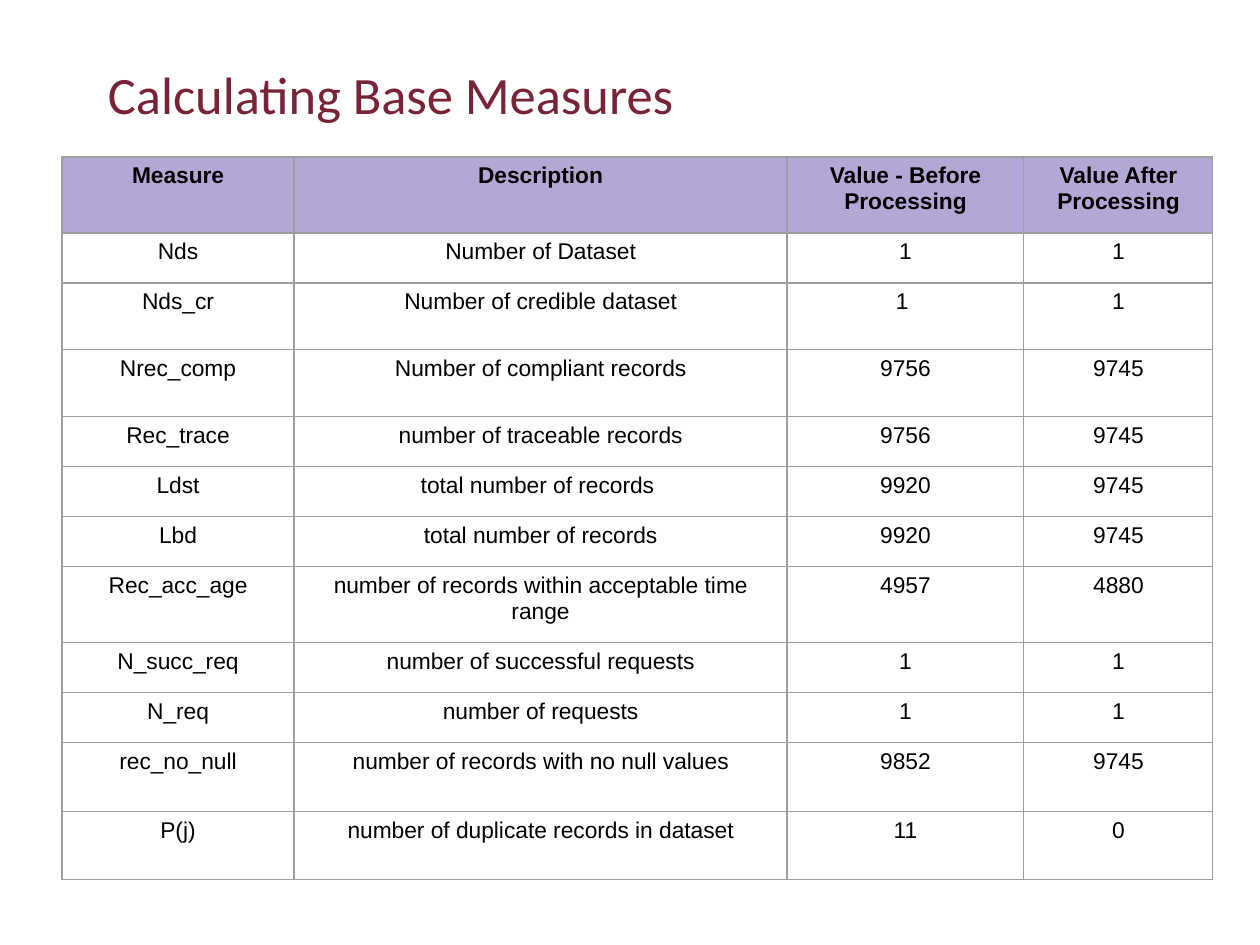
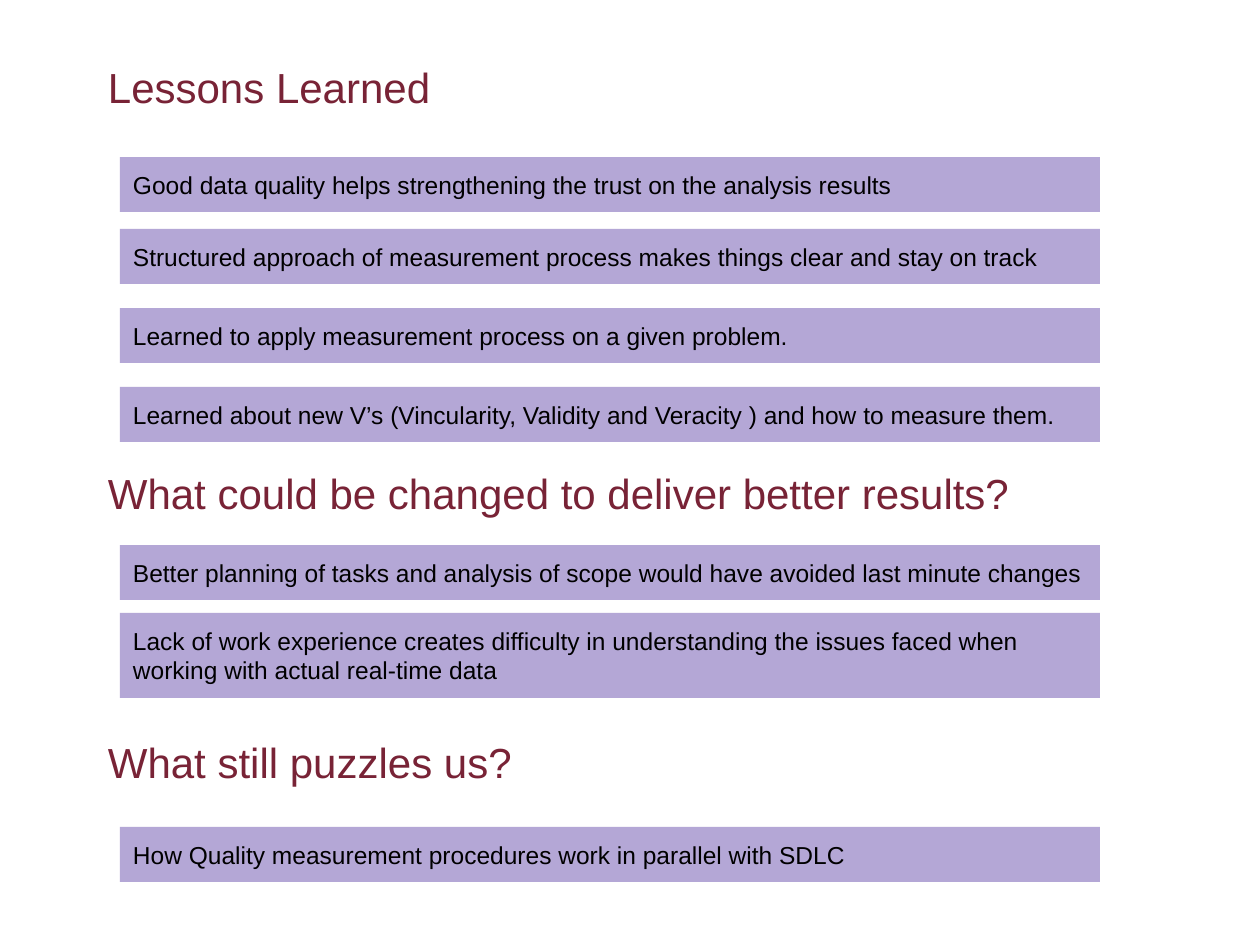
from lxml import etree
from pptx import Presentation, util as u
from pptx.dml.color import RGBColor
from pptx.enum import shapes, text
from pptx.oxml import parse_xml
from pptx.oxml.ns import nsdecls

WINE, LILAC, BLACK, GREY = "782336", "B4A7D6", "000000", "9E9E9E"
PAD = 13  # text inset of bars, headings and cells


def px(n):
    return u.Emu(round(n * 914400 / 126))


def put_text(shape, words, size, color, font="Arial", top=PAD):
    """Fill a shape, text box or cell frame with one styled paragraph."""
    tf = shape.text_frame
    tf.word_wrap = True
    tf.vertical_anchor = text.MSO_ANCHOR.TOP
    tf.margin_left = tf.margin_right = px(PAD)
    tf.margin_top = tf.margin_bottom = px(top)
    p = tf.paragraphs[0]
    p.text = words
    p.alignment = text.PP_ALIGN.LEFT
    p.font.name, p.font.size = font, u.Pt(size)
    p.font.color.rgb = RGBColor.from_string(color)
    return p


prs = Presentation()
prs.slide_width, prs.slide_height = px(1260), px(945)
blank = prs.slide_layouts[6]

# Slide 1: title
s = prs.slides.add_slide(blank)
title = s.shapes.add_textbox(px(95), px(53), px(1071), px(97))
put_text(title, "Calculating Base Measures", 30, WINE, "Calibri", 9)

# Slide 1: table of measures
rows = [
    ("Measure", "Description", "Value - Before Processing", "Value After Processing"),
    ("Nds", "Number of Dataset", "1", "1"),
    ("Nds_cr", "Number of credible dataset", "1 ", "1"),
    ("Nrec_comp", "Number of compliant records", "9756", "9745"),
    ("Rec_trace", "number of traceable records", "9756", "9745"),
    ("Ldst", "total number of records ", "9920", "9745"),
    ("Lbd", "total number of records", "9920", "9745"),
    ("Rec_acc_age", "number of records within acceptable time range", "4957", "4880"),
    ("N_succ_req", "number of successful requests", "1", "1"),
    ("N_req", "number of requests", "1", "1"),
    ("rec_no_null", "number of records with no null values", "9852", "9745"),
    ("P(j)", "number of duplicate records in dataset", "11", "0"),
]
widths = [232, 493, 237, 189]
heights = [76, 50, 67, 67, 50, 50, 50, 76, 50, 50, 69, 68]
table = s.shapes.add_table(len(rows), len(widths), px(62), px(157),
                           px(sum(widths)), px(sum(heights))).table
table.first_row = table.horz_banding = False
for col, width in zip(table.columns, widths):
    col.width = px(width)
for i, (row, height) in enumerate(zip(rows, heights)):
    table.rows[i].height = px(height)
    for j, words in enumerate(row):
        cell = table.cell(i, j)
        p = put_text(cell, words, 13, BLACK)
        p.alignment = text.PP_ALIGN.CENTER
        p.font.bold = i == 0
        for side in "LRTB":
            cell._tc.get_or_add_tcPr().append(parse_xml(
                f'<a:ln{side} {nsdecls("a")} w="9525"><a:solidFill>'
                f'<a:srgbClr val="{GREY}"/></a:solidFill></a:ln{side}>'))
        if i == 0:
            cell.fill.solid()
            cell.fill.fore_color.rgb = RGBColor.from_string(LILAC)
        else:
            cell.fill.background()

# Slide 2: headings as (top, height, inset, words)
s = prs.slides.add_slide(blank)
headings = [
    (53, 88, 9, "Lessons Learned"),
    (455, 77, PAD, "What could be changed to deliver better results?"),
    (724, 77, PAD, "What still puzzles us?"),
]
for top, height, inset, words in headings:
    sp = s.shapes.add_textbox(px(95), px(top), px(980), px(height))
    put_text(sp, words, 24, WINE, top=inset)

# Slide 2: bars as (top, height, words)
bars = [
    (157, 55, "Good data quality helps strengthening the trust on the analysis results"),
    (229, 55, "Structured approach of measurement process makes things clear and stay on track"),
    (308, 55, "Learned to apply measurement process on a given problem."),
    (387, 55, "Learned about new V’s (Vincularity, Validity and Veracity ) and how to measure them."),
    (545, 55, "Better planning of tasks and analysis of scope would have avoided last minute changes"),
    (613, 85, "Lack of work experience creates difficulty in understanding the issues faced when "
              "working with actual real-time data"),
    (827, 55, "How Quality measurement procedures work in parallel with SDLC"),
]
for top, height, words in bars:
    sp = s.shapes.add_shape(shapes.MSO_SHAPE.RECTANGLE, px(120), px(top), px(980), px(height))
    sp.shadow.inherit = False
    sp.fill.solid()
    sp.fill.fore_color.rgb = RGBColor.from_string(LILAC)
    sp.line.fill.background()
    put_text(sp, words, 14, BLACK)

prs.save("out.pptx")
